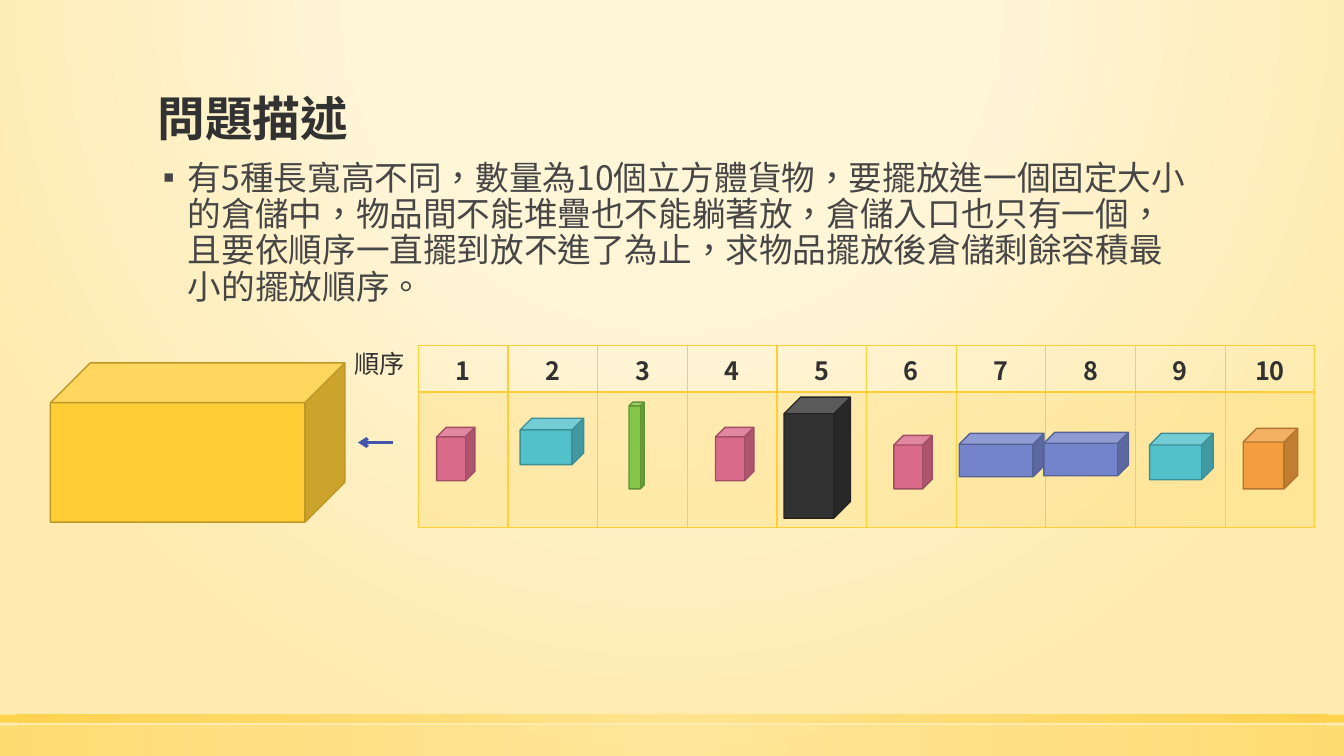
import pptx
import pptx.util
import pptx.dml.color
import pptx.enum.shapes
import pptx.enum.text
import pptx.oxml
import pptx.oxml.ns
from lxml import etree

In, Pt = pptx.util.Inches, pptx.util.Pt
RGB = pptx.dml.color.RGBColor.from_string
MSO = pptx.enum.shapes.MSO_SHAPE
qn = pptx.oxml.ns.qn
NS = pptx.oxml.ns.nsdecls("a")


class Theme:
    font, bullet_font = "Noto Sans CJK TC", "Arial"
    title_size, body_size, label_size = 34, 24, 18
    ink, body = "323232", "464646"
    gold, gold_light, arrow = "FFCD36", "FFE186", "4156AC"
    bg = [(0, "FFF5D7", 59), (40, "FFF5D7", 66), (100, "FFEBAF", 100)]
    store = (gold, "BD9828")
    pink, teal = ("DA6A89", "A14E65"), ("52C1CA", "3D8F95")
    green, blue = ("83C546", "619234"), ("7384CA", "556295")
    black, orange = ("323232", "252525"), ("F29E3E", "B3752E")


def gradient(fill, root, stops, rect):
    fill.solid()
    old = next(root.iter(qn("a:solidFill")))
    gs = "".join(
        f'<a:gs pos="{pos * 1000}"><a:srgbClr val="{c}"><a:alpha val="{a * 1000}"/></a:srgbClr></a:gs>'
        for pos, c, a in stops)
    box = " ".join(f'{k}="{v * 1000}"' for k, v in zip("ltrb", rect))
    old.getparent().replace(old, pptx.oxml.parse_xml(
        f'<a:gradFill {NS} rotWithShape="1"><a:gsLst>{gs}</a:gsLst>'
        f'<a:path path="circle"><a:fillToRect {box}/></a:path></a:gradFill>'))


def write(tf, text, size, color, bold=False):
    tf.text = text
    r = tf.paragraphs[0].runs[0]
    r.font.name, r.font.size, r.font.bold = Theme.font, Pt(size), bold
    r.font.color.rgb = RGB(color)
    r.font._element.set("lang", "zh-TW")
    etree.SubElement(r.font._element, qn("a:ea"), typeface=Theme.font)
    return tf.paragraphs[0]


W, H = 13.33, 7.5
prs = pptx.Presentation()
prs.slide_width, prs.slide_height = In(W), In(H)
s = prs.slides.add_slide(prs.slide_layouts[6])
gradient(s.background.fill, s.element, Theme.bg, (50, -80, 50, 180))

for top, height, alpha in [(7.2, 0.3, 50), (7.09, 0.08, 80)]:
    sp = s.shapes.add_shape(MSO.RECTANGLE, 0, In(top), In(W), In(height))
    sp.shadow.inherit = False
    sp.line.fill.background()
    stops = [(0, Theme.gold_light, alpha), (100, Theme.gold, alpha)]
    gradient(sp.fill, sp.element, stops, (50, 50, 50, 50))

left, width = 0.11 * W, 0.78 * W
tf = s.shapes.add_textbox(In(left), In(0.16), In(width), In(1.35)).text_frame
tf.word_wrap = True
tf.vertical_anchor = pptx.enum.text.MSO_ANCHOR.BOTTOM
p = write(tf, "問題描述", Theme.title_size, Theme.ink, True)
p.line_spacing = 0.9

tf = s.shapes.add_textbox(In(left), In(1.55), In(width), In(4.51)).text_frame
tf.word_wrap = True
p = write(tf, "有5種長寬高不同，數量為10個立方體貨物，要擺放進一個固定大小的倉儲中，"
              "物品間不能堆疊也不能躺著放，倉儲入口也只有一個，且要依順序一直擺到放不進了為止，"
              "求物品擺放後倉儲剩餘容積最小的擺放順序。", Theme.body_size, Theme.body)
p.line_spacing = 0.9
pPr = p._p.get_or_add_pPr()
pPr.set("marL", str(In(0.3)))
pPr.set("indent", str(In(-0.25)))
etree.SubElement(pPr, qn("a:buFont"), typeface=Theme.bullet_font)
etree.SubElement(pPr, qn("a:buChar"), char="▪")

tf = s.shapes.add_textbox(In(3.42), In(3.41), In(0.71), In(0.4)).text_frame
tf.word_wrap = False
write(tf, "順序", Theme.label_size, Theme.ink)

X, Y, COL, ROWS = 4.15, 3.43, 0.889, (0.46, 1.34)
tb = s.shapes.add_table(2, 10, In(X), In(Y), In(COL * 10), In(sum(ROWS))).table
tb.first_row = tb.horz_banding = False
for col in tb.columns:
    col.width = In(COL)
for i, height in enumerate(ROWS):
    tb.rows[i].height = In(height)
    for j in range(10):
        cell = tb.cell(i, j)
        tcPr = cell._tc.get_or_add_tcPr()
        for side in "LRTB":
            heavy = (i, side) in [(0, "B"), (1, "T")]
            tcPr.append(pptx.oxml.parse_xml(
                f'<a:ln{side} {NS} w="{Pt(2 if heavy else 1)}"><a:solidFill>'
                f'<a:srgbClr val="{Theme.gold}"/></a:solidFill></a:ln{side}>'))
        if i == 0:
            cell.fill.background()
            p = write(cell.text_frame, str(j + 1), Theme.label_size, Theme.ink, True)
            p.alignment = pptx.enum.text.PP_ALIGN.CENTER
        else:
            cell.fill.solid()
            cell.fill.fore_color.rgb = RGB(Theme.gold)
            etree.SubElement(next(tcPr.iterchildren(qn("a:solidFill")))[0], qn("a:alpha"), val="20000")

sp = s.shapes.add_connector(pptx.enum.shapes.MSO_CONNECTOR.STRAIGHT, In(3.9), In(4.39), In(3.55), In(4.39))
sp.line.color.rgb = RGB(Theme.arrow)
sp.line.width = Pt(2.25)
etree.SubElement(sp.line._get_or_add_ln(), qn("a:tailEnd"), type="arrow")
etree.SubElement(sp.element.spPr, qn("a:effectLst"))

sizes = {Theme.store: (2.92, 1.58), Theme.pink: (0.38, 0.53), Theme.teal: (0.63, 0.46),
         Theme.green: (0.15, 0.86), Theme.blue: (0.84, 0.43), Theme.black: (0.66, 1.2),
         Theme.orange: (0.54, 0.6)}
goods = [(Theme.pink, 0.18, 4.24), (Theme.teal, 0.12, 4.15), (Theme.green, 0.31, 3.99),
         (Theme.pink, 0.28, 4.24), (Theme.black, 0.07, 3.94), (Theme.pink, 0.27, 4.32),
         (Theme.blue, 0.03, 4.3), (Theme.blue, -0.02, 4.29), (Theme.teal, 0.14, 4.3),
         (Theme.orange, 0.18, 4.25)]
cubes = [(Theme.store, 0.5, 3.6)]
cubes += [(kind, X + COL * j + dx, top) for j, (kind, dx, top) in enumerate(goods)]
for kind, x, top in cubes:
    sp = s.shapes.add_shape(MSO.CUBE, In(x), In(top), *map(In, sizes[kind]))
    sp.shadow.inherit = False
    sp.fill.solid()
    sp.fill.fore_color.rgb, sp.line.color.rgb = map(RGB, kind)
    sp.line.width = Pt(1)

prs.save("out.pptx")
